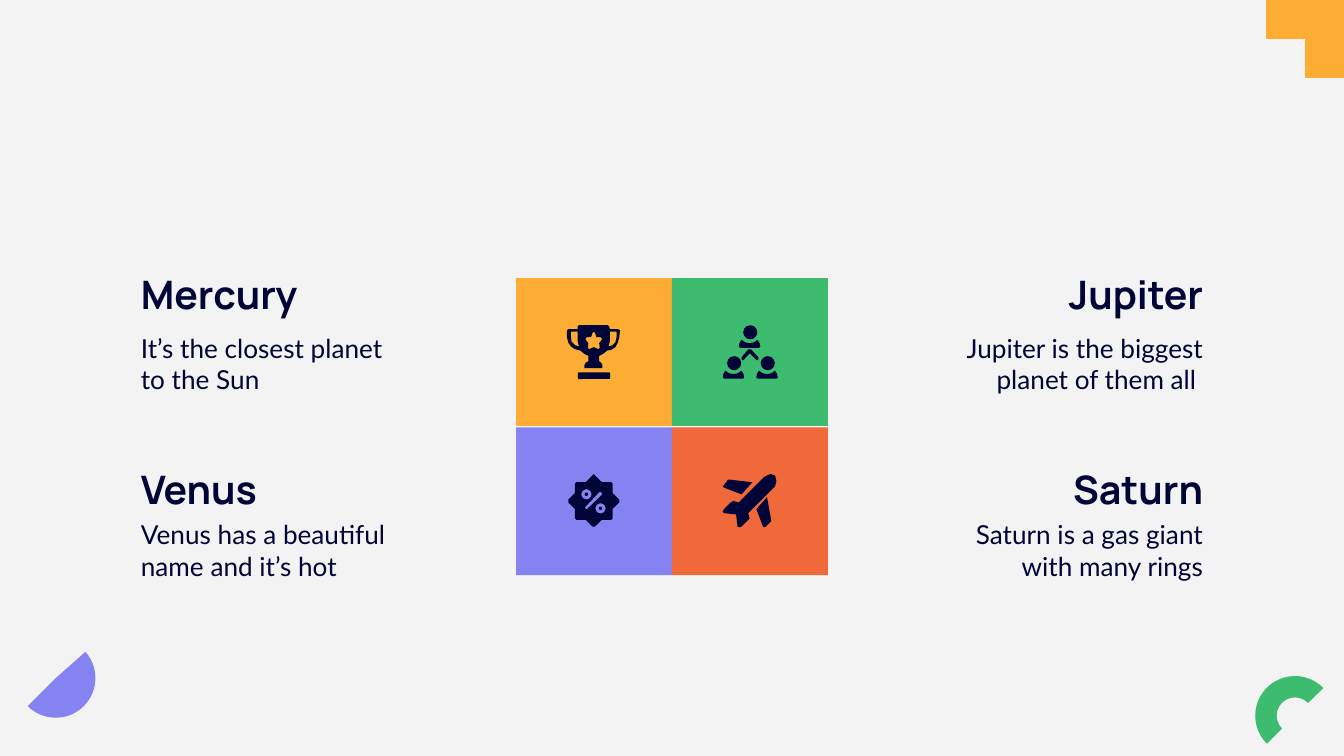
from dataclasses import dataclass
from math import cos, pi, sin

from pptx import Presentation
from pptx.dml.color import RGBColor
from pptx.enum.shapes import MSO_SHAPE
from pptx.enum.text import MSO_ANCHOR, PP_ALIGN
from pptx.util import Inches, Pt

ARC, PIE, CORNER = MSO_SHAPE.BLOCK_ARC, MSO_SHAPE.PIE, MSO_SHAPE.CORNER
RECT, OVAL, ROUND = MSO_SHAPE.RECTANGLE, MSO_SHAPE.OVAL, MSO_SHAPE.ROUNDED_RECTANGLE
TOP, MIDDLE, BOTTOM = MSO_ANCHOR.TOP, MSO_ANCHOR.MIDDLE, MSO_ANCHOR.BOTTOM
LEFT, RIGHT = PP_ALIGN.LEFT, PP_ALIGN.RIGHT

NAVY = RGBColor(0x00, 0x04, 0x36)
GREEN = RGBColor(0x3D, 0xBC, 0x6F)
PURPLE = RGBColor(0x85, 0x83, 0xF2)
AMBER = RGBColor(0xFE, 0xAD, 0x34)
ORANGE = RGBColor(0xF0, 0x69, 0x3B)
PALE = RGBColor(0xF3, 0xF3, 0xF3)

WIDTH = 10
HEIGHT = WIDTH * 9 / 16
TILE_W, TILE_H = 1.16, 1.1
GRID_X, GRID_Y = 3.84, 2.07
PITCH_Y = 1.11
ICON_X, ICON_Y = 0.38, 0.35
NOTE_W = 2.18

Points = list[tuple[float, float]]


@dataclass
class Decor:
    kind: int
    left: float
    top: float
    size: float
    turn: int
    color: RGBColor
    adjust: tuple[float, ...]


@dataclass
class Part:
    kind: int
    x: float
    y: float
    w: float
    h: float


@dataclass
class Path:
    loops: list[Points]


@dataclass
class Tile:
    col: int
    row: int
    color: RGBColor
    icon: list[Part | Path]


@dataclass
class Note:
    left: float
    top: float
    head: str
    body: str
    anchor: int
    align: int


def paint(shape, color: RGBColor) -> None:
    shape.shadow.inherit = False
    shape.fill.solid()
    shape.fill.fore_color.rgb = color
    shape.line.fill.background()


def add_form(shapes, kind: int, left: float, top: float, w: float, h: float, color: RGBColor):
    shape = shapes.add_shape(kind, Inches(left), Inches(top), Inches(w), Inches(h))
    paint(shape, color)
    return shape


def add_decor(shapes, decor: Decor) -> None:
    shape = add_form(shapes, decor.kind, decor.left, decor.top, decor.size, decor.size, decor.color)
    shape.rotation = decor.turn
    for i, value in enumerate(decor.adjust):
        shape.adjustments[i] = value


def add_path(shapes, path: Path, left: float, top: float) -> None:
    loops = [[(left * 1000 + x * 10, top * 1000 + y * 10) for x, y in loop] for loop in path.loops]
    pen = shapes.build_freeform(*loops[0][0], scale=Inches(0.001))
    pen.add_line_segments(loops[0][1:])
    for loop in loops[1:]:
        pen.move_to(*loop[0])
        pen.add_line_segments(loop[1:])
    paint(pen.convert_to_shape(), NAVY)


def add_icon(shapes, tile: Tile) -> None:
    left = GRID_X + tile.col * TILE_W + ICON_X
    top = GRID_Y + tile.row * PITCH_Y + ICON_Y
    for part in tile.icon:
        if isinstance(part, Path):
            add_path(shapes, part, left, top)
        else:
            add_form(shapes, part.kind, left + part.x / 100, top + part.y / 100,
                     part.w / 100, part.h / 100, NAVY)


def add_text(shapes, left: float, top: float, h: float, text: str, font: str, size: int,
             bold: bool, anchor: int, align: int) -> None:
    frame = shapes.add_textbox(Inches(left), Inches(top), Inches(NOTE_W), Inches(h)).text_frame
    frame.word_wrap = True
    frame.vertical_anchor = anchor
    frame.margin_left = frame.margin_right = Inches(0.1)
    frame.margin_top = frame.margin_bottom = Inches(0.1)
    para = frame.paragraphs[0]
    para.text = text
    para.alignment = align
    para.font.name, para.font.size, para.font.bold = font, Pt(size), bold
    para.font.color.rgb = NAVY


def add_note(shapes, note: Note) -> None:
    add_text(shapes, note.left, note.top, 0.43, note.head, "Manrope", 21, True, note.anchor, note.align)
    add_text(shapes, note.left, note.top + 0.34, 0.63, note.body, "Lato", 14, False, TOP, note.align)


def person(x: float, y: float) -> list[Part | Path]:
    bust = [(2, 11), (5, 13), (8, 13.5), (11, 13), (14, 11), (15.5, 13.5), (16, 16),
            (15, 17), (1, 17), (0, 16), (0.5, 13.5)]
    return [Path([[(x + a, y + b) for a, b in bust]]), Part(OVAL, x + 3, y, 10.5, 10.5)]


def circle(x: float, y: float, r: float) -> Points:
    turns = [2 * pi * i / 24 for i in range(24)]
    return [(x + r * cos(t), y + r * sin(t)) for t in turns]


TROPHY = [
    Part(ROUND, 8, 35, 24, 5),
    Path([
        [(9, 0), (30, 0), (31.5, 1), (32, 3), (38, 3), (39.5, 4), (39, 9), (38, 13), (36, 16.5),
         (33, 18.5), (30, 19), (27, 21.5), (24, 23), (24, 27), (25.5, 28), (26.5, 30), (26.5, 32),
         (13, 32), (13, 30), (14, 28), (16, 27), (16, 23), (13, 21.5), (10, 19), (6, 18), (3, 16),
         (1, 13), (0, 9), (0, 4), (1, 3), (8, 3), (8, 1)],
        [(37, 5), (37, 9), (36, 13), (34, 15), (31, 16), (32, 12), (32, 5)],
        [(8, 5), (8, 12), (9, 16), (6, 15), (3.5, 12.5), (3, 9), (3, 5)],
        [(20, 5), (21, 6), (22, 9), (25, 9), (26, 10), (26, 11), (24, 13.5), (24.5, 17), (23.5, 18),
         (20, 16.5), (16.5, 18), (15.5, 17), (16, 13.5), (14, 11), (14, 10), (15, 9), (18, 9), (19, 6)],
    ]),
]
TEAM = [
    *person(12, 0),
    Path([[(20, 18), (21, 18), (26.5, 24), (26.5, 26), (25, 26), (20, 21), (15.5, 26),
           (14, 26), (14, 24), (19, 18)]]),
    *person(25, 23), *person(0, 23),
]
BADGE = [
    Part(OVAL, 23.5, 24, 2.5, 2.5),
    Part(OVAL, 13, 13.5, 2.5, 2.5),
    Path([
        [(19, 1), (14, 6), (7, 6), (6, 7), (6, 14), (1, 19), (1, 21), (6, 26), (6, 33), (7, 34),
         (14, 34), (19, 39), (21, 39), (26, 34), (33, 34), (34, 33), (34, 26), (39, 21),
         (39, 19), (34, 14), (34, 7), (33, 6), (26, 6), (21, 1), (20, 0)],
        circle(14.5, 15, 3.75),
        circle(25, 25.5, 3.75),
        [(25, 13), (26, 14), (26, 15.5), (15, 26), (14, 26), (13.5, 25), (14, 24), (24, 13.5)],
    ]),
]
PLANE = [
    Path([[(36, 0), (35, 0), (31, 2), (12, 21), (8, 20), (6, 21), (1, 26), (0, 28), (1, 29),
           (10, 30), (11, 39), (12, 39.5), (14, 39), (19, 34), (20, 33), (19, 29), (39, 9),
           (40, 5), (39, 1)]]),
    Path([[(5, 4), (4, 4), (1, 8), (0, 9), (1, 10), (14, 15), (22, 6)]]),
    Path([[(33, 17), (25, 26), (30, 39), (31, 39.5), (32, 39), (36, 35), (36, 34)]]),
]

DECORS = [
    Decor(ARC, 9.34, 5.03, 0.59, 315, GREEN, (108, 0.54, 0.27)),
    Decor(PIE, 0.12, 4.75, 0.59, 225, PURPLE, (56.12, 162)),
    Decor(CORNER, 9.42, 0, 0.58, 180, AMBER, (0.5, 0.5)),
]
NOTES = [
    Note(0.95, 2.03, "Mercury", "It’s the closest planet to the Sun", BOTTOM, LEFT),
    Note(0.95, 3.42, "Venus", "Venus has a beautiful name and it’s hot", MIDDLE, LEFT),
    Note(6.87, 2.03, "Jupiter", "Jupiter is the biggest planet of them all ", BOTTOM, RIGHT),
    Note(6.87, 3.42, "Saturn", "Saturn is a gas giant with many rings", MIDDLE, RIGHT),
]
TILES = [
    Tile(0, 0, AMBER, TROPHY),
    Tile(0, 1, PURPLE, BADGE),
    Tile(1, 0, GREEN, TEAM),
    Tile(1, 1, ORANGE, PLANE),
]


def main() -> None:
    deck = Presentation()
    deck.slide_width, deck.slide_height = Inches(WIDTH), Inches(HEIGHT)
    slide = deck.slides.add_slide(deck.slide_layouts[6])
    slide.background.fill.solid()
    slide.background.fill.fore_color.rgb = PALE
    for decor in DECORS:
        add_decor(slide.shapes, decor)
    for note in NOTES:
        add_note(slide.shapes, note)
    for tile in TILES:
        add_form(slide.shapes, RECT, GRID_X + tile.col * TILE_W, GRID_Y + tile.row * PITCH_Y,
                 TILE_W, TILE_H, tile.color)
    for tile in TILES:
        add_icon(slide.shapes, tile)
    deck.save("out.pptx")


if __name__ == "__main__":
    main()
